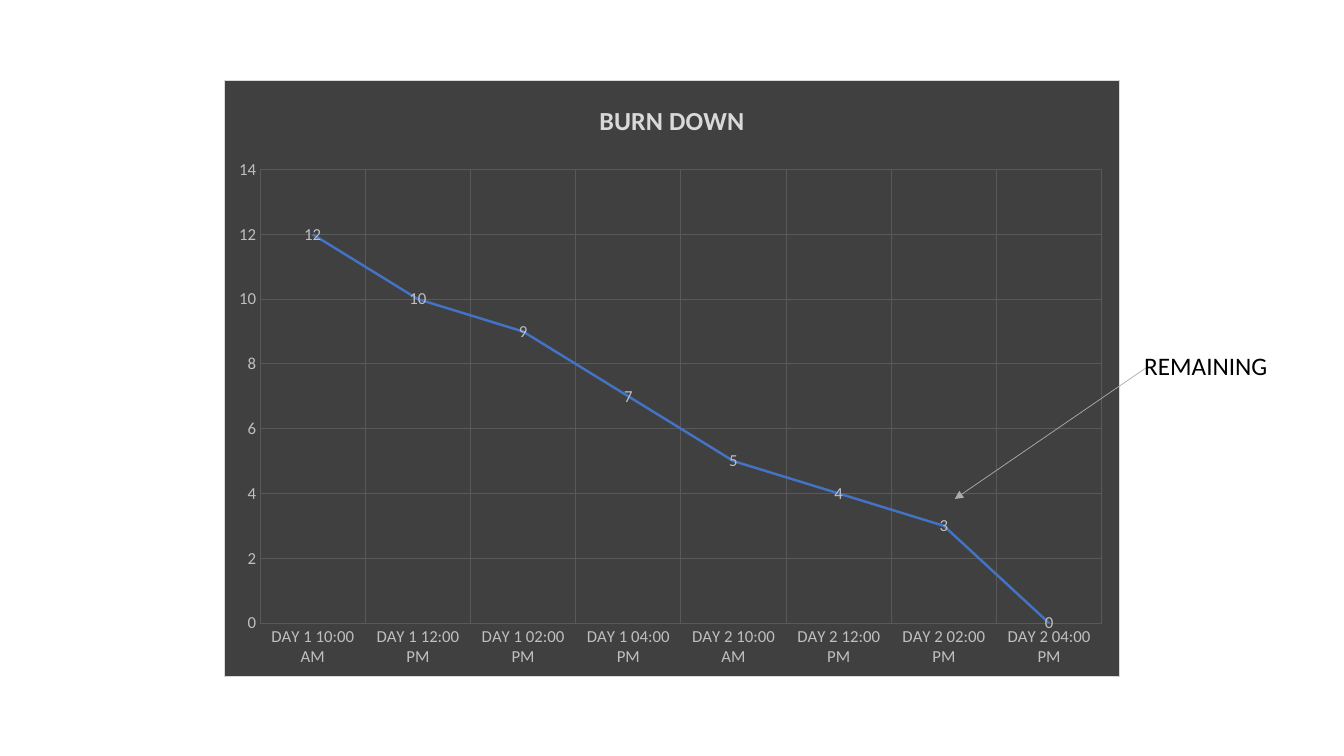
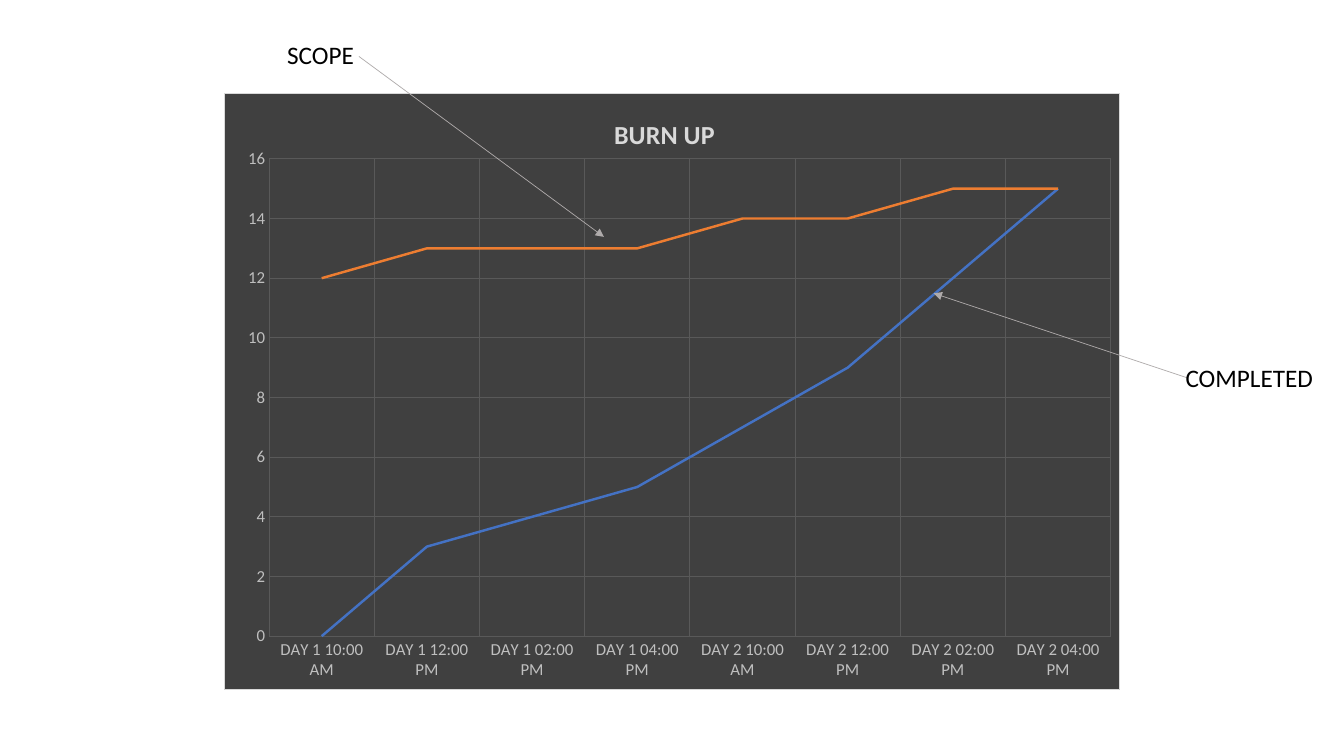
from lxml.etree import SubElement
from pptx import Presentation
from pptx.chart.data import CategoryChartData
from pptx.dml.color import RGBColor
from pptx.enum.chart import XL_CHART_TYPE as ChartType, XL_LABEL_POSITION as LabelPos
from pptx.enum.chart import XL_TICK_MARK as Tick
from pptx.enum.shapes import MSO_AUTO_SHAPE_TYPE, MSO_CONNECTOR as Conn
from pptx.enum.text import MSO_AUTO_SIZE as AutoSize
from pptx.oxml import parse_xml
from pptx.oxml.ns import nsdecls, qn
from pptx.util import Inches, Pt

FONT = "Calibri"
PANEL, GRID, AXIS_TEXT, TITLE, ARROW = "404040", "595959", "BFBFBF", "D9D9D9", "AFABAB"
BLUE, ORANGE = "4472C4", "ED7D31"
TIMES = [f"DAY {day} {hour}" for day in (1, 2)
         for hour in ("10:00 AM", "12:00 PM", "02:00 PM", "04:00 PM")]

SLIDES = [
    {
        "title": "BURN DOWN", "top": 0.79, "max": 14, "labels": True,
        "plot": (0.04, 0.15, 0.94, 0.76), "title_at": None,
        "series": [("BURN DOWN", (12, 10, 9, 7, 5, 4, 3, 0), BLUE)],
        "notes": [("REMAINING", (11.25, 3.43, 1.47), (11.38, 3.64), (9.47, 4.95))],
    },
    {
        "title": "BURN UP", "top": 0.92, "max": 16, "labels": False,
        "plot": (0.05, 0.11, 0.94, 0.8), "title_at": (0.43, 0.03),
        "series": [("Series 1", (0, 3, 4, 5, 7, 9, 12, 15), BLUE),
                   ("Series 2", (12, 13, 13, 13, 14, 14, 15, 15), ORANGE)],
        "notes": [("SCOPE", (2.75, 0.34, 1.62), (3.56, 0.56), (5.99, 2.35)),
                  ("COMPLETED", (11.66, 3.55, 1.68), (11.78, 3.75), (9.26, 2.91))],
    },
]


def rgb(color):
    return RGBColor.from_string(color)


def set_font(font, size, color, bold=False):
    values = {"name": FONT, "size": Pt(size), "bold": bold}
    for name, value in values.items():
        setattr(font, name, value)
    font.color.rgb = rgb(color)


def set_line(line, color, width):
    line.color.rgb = rgb(color)
    line.width = Pt(width)


def set_layout(parent, index, place):
    old = parent.find(qn("c:layout"))
    if old is not None:
        parent.remove(old)
    layout = parse_xml(f"<c:layout {nsdecls('c')}><c:manualLayout/></c:layout>")
    rules = [("xMode", "edge"), ("yMode", "edge"), *zip("xywh", place)]
    if len(place) == 4:
        rules.insert(0, ("layoutTarget", "inner"))
    for tag, value in rules:
        SubElement(layout[0], qn(f"c:{tag}")).set("val", str(value))
    parent.insert(index, layout)


def set_panel(chart):
    panel = parse_xml(
        f'<c:spPr {nsdecls("c", "a")}>'
        f'<a:solidFill><a:srgbClr val="{PANEL}"/></a:solidFill>'
        f'<a:ln w="{Pt(0.75)}"><a:solidFill><a:srgbClr val="{TITLE}"/></a:solidFill></a:ln>'
        "</c:spPr>")
    chart.element.find(qn("c:chart")).addnext(panel)


def add_line_chart(s, item):
    data = CategoryChartData()
    data.categories = TIMES
    for name, values, color in item["series"]:
        data.add_series(name, values)
    box = [Inches(v) for v in (2.22, item["top"], 8.89, 5.93)]
    chart = s.shapes.add_chart(ChartType.LINE, *box, data).chart
    set_font(chart.font, 10, "000000")
    set_panel(chart)
    chart.has_legend = False
    chart.has_title = True
    p = chart.chart_title.text_frame.paragraphs[0]
    r = p.add_run()
    r.text = item["title"]
    set_font(r.font, 18.6, TITLE, True)
    if item["title_at"]:
        set_layout(chart.chart_title.element, 1, item["title_at"])
    set_layout(chart.element.find(".//" + qn("c:plotArea")), 0, item["plot"])

    for axis in (chart.category_axis, chart.value_axis):
        axis.major_tick_mark = axis.minor_tick_mark = Tick.NONE
        axis.has_major_gridlines = True
        set_line(axis.major_gridlines.format.line, GRID, 0.75)
        axis.format.line.fill.background()
        set_font(axis.tick_labels.font, 12, AXIS_TEXT)
    scale = {"minimum_scale": 0, "maximum_scale": item["max"], "major_unit": 2}
    for name, value in scale.items():
        setattr(chart.value_axis, name, value)

    chart.plots[0].vary_by_categories = False
    for series, (name, values, color) in zip(chart.plots[0].series, item["series"]):
        series.smooth = False
        set_line(series.format.line, color, 1.75)
        if item["labels"]:
            labels = series.data_labels
            labels.show_value = True
            labels.position = LabelPos.CENTER
            set_font(labels.font, 12, AXIS_TEXT)


def add_note(s, text, place, start, end):
    ends = [Inches(v) for v in (*start, *end)]
    arrow = s.shapes.add_connector(Conn.STRAIGHT, *ends)
    set_line(arrow.line, ARROW, 0.5)
    props = arrow.element.spPr
    SubElement(props.find(qn("a:ln")), qn("a:tailEnd")).set("type", "triangle")
    SubElement(props, qn("a:effectLst"))

    sp = s.shapes.add_textbox(*[Inches(v) for v in (*place, 0.4)])
    tf = sp.text_frame
    tf.word_wrap = True
    tf.auto_size = AutoSize.SHAPE_TO_FIT_TEXT
    r = tf.paragraphs[0].add_run()
    r.text = text
    set_font(r.font, 18, "000000")


def main():
    prs = Presentation()
    prs.slide_width, prs.slide_height = Inches(13.33), Inches(7.5)
    for item in SLIDES:
        s = prs.slides.add_slide(prs.slide_layouts[6])
        add_line_chart(s, item)
        for note in item["notes"]:
            add_note(s, *note)
    prs.save("out.pptx")


if __name__ == "__main__":
    main()
